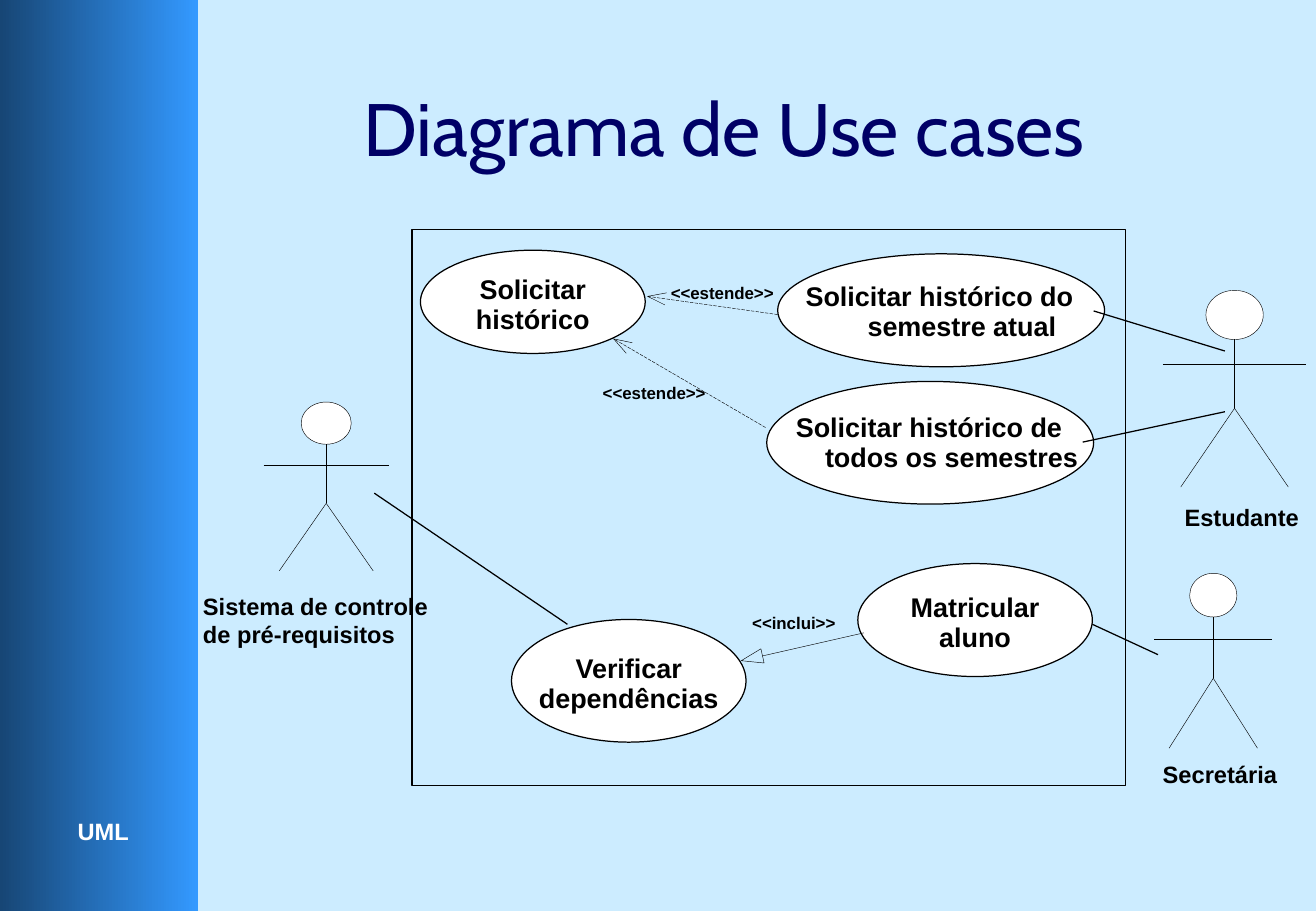
"""Build the slide with the UML use case diagram of an enrolment system."""
from math import hypot

from lxml.etree import SubElement
from pptx import Presentation
from pptx.dml.color import RGBColor
from pptx.enum.dml import MSO_LINE
from pptx.enum.shapes import MSO_CONNECTOR, MSO_SHAPE
from pptx.enum.text import MSO_ANCHOR, PP_ALIGN
from pptx.oxml.ns import qn
from pptx.util import Emu, Pt

PX = 9144
SLIDE = (1083, 750)
COLORS = {"background": "CCECFF", "bar_dark": "174675", "bar_light": "3399FF",
          "title": "000066", "ink": "000000", "paper": "FFFFFF"}
THIN, NORMAL = 0.25, 0.75
USE_CASE_FONT = {"size": 16, "spacing": 17.8}

SIDEBAR = (0, 0, 163, 750)
COURSE = ("UML", (54, 667, 62, 34))
TITLE = ("Diagrama de Use cases", (190, 42, 812, 125))
SYSTEM = (339, 189, 587, 458)

ACTORS = [
    ("Estudante", (957, 239, 118, 162), (967, 414, 110, 23), PP_ALIGN.CENTER),
    ("Secretária", (950, 472, 97, 144), (949, 626, 110, 23), PP_ALIGN.CENTER),
    ("Sistema de controle\nde pré-requisitos", (217, 331, 103, 139),
     (167, 487, 208, 47), PP_ALIGN.LEFT),
]
USE_CASES = [
    ("Solicitar\nhistórico", (346, 206, 185, 85)),
    ("Verificar\ndependências", (421, 510, 193, 101)),
    ("Matricular\naluno", (706, 464, 193, 93)),
]
STAGGERED_USE_CASES = [
    ("Solicitar histórico do\nsemestre atual",
     (640, 209, 269, 93), (663, 232, 250, 52), 51),
    ("Solicitar histórico de\ntodos os semestres",
     (631, 314, 269, 101), (655, 340, 250, 52), 24),
]
EXTENSIONS = [
    ("<<estende>>", (640, 259), (533, 244), (552, 233, 85, 17)),
    ("<<estende>>", (630, 352), (505, 279), (496, 315, 85, 17)),
]
INCLUSION = ("<<inclui>>", (711, 521), (610, 544), (619, 504, 69, 17))
ASSOCIATIONS = [
    ((467, 514), (308, 406)),
    ((1008, 289), (900, 256)),
    ((899, 514), (953, 539)),
    ((1008, 339), (891, 364)),
]


def color(name):
    return RGBColor.from_string(COLORS[name])


def emu(*lengths):
    return [Emu(round(length * PX)) for length in lengths]


def outline(item, width):
    item.line.color.rgb = color("ink")
    item.line.width = Pt(width)


def draw_shape(kind, box, fill=None, width=NORMAL):
    shape = shapes.add_shape(kind, *emu(*box))
    shape.shadow.inherit = False
    if fill:
        shape.fill.solid()
        shape.fill.fore_color.rgb = color(fill)
    else:
        shape.fill.background()
    outline(shape, width)
    return shape


def draw_line(start, end, width=THIN, dash=None):
    line = shapes.add_connector(MSO_CONNECTOR.STRAIGHT, *emu(*start, *end))
    SubElement(line._element.spPr, qn("a:effectLst"))
    outline(line, width)
    if dash:
        line.line.dash_style = dash


def draw_outline(points, close=False):
    first, *rest = [emu(*point) for point in points]
    builder = shapes.build_freeform(*first)
    builder.add_line_segments(rest, close=close)
    shape = builder.convert_to_shape()
    shape.shadow.inherit = False
    shape.fill.background()
    outline(shape, THIN)


def write(text, box=None, shape=None, size=14, font="Arial", ink="ink", bold=True,
          align=PP_ALIGN.LEFT, anchor=MSO_ANCHOR.TOP, wrap=False, indent=0, drop=0,
          spacing=None):
    """Put text in a shape or a new box, indenting the lines after the first."""
    frame = (shape or shapes.add_textbox(*emu(*box))).text_frame
    frame.margin_left = frame.margin_right = frame.margin_bottom = 0
    frame.margin_top = emu(drop)[0]
    frame.word_wrap = wrap
    frame.vertical_anchor = anchor
    frame.text = text
    for number, line in enumerate(frame.paragraphs):
        line.alignment = align
        line.font.size = Pt(size)
        line.font.name = font
        line.font.bold = bold
        line.font.color.rgb = color(ink)
        if spacing:
            line.line_spacing = Pt(spacing)
        if number and indent:
            line._p.get_or_add_pPr().set("marL", str(emu(indent)[0]))


def draw_actor(name, figure, name_box, align):
    left, top, width, height = figure
    center = left + width / 2
    neck, arms, hip, feet = [top + height * part for part in (0.25, 0.375, 0.6, 1)]
    stride = width * 0.375
    draw_shape(MSO_SHAPE.OVAL, (left + width * 0.3, top, width * 0.4, neck - top),
               fill="paper", width=THIN)
    draw_line((left, arms), (left + width, arms))
    draw_outline([(center - stride, feet), (center, hip), (center + stride, feet)])
    draw_line((center, neck), (center, hip))
    write(name, name_box, align=align, wrap=True)


def draw_dependency(label, start, tip, label_box, length=15, half=5, closed=False):
    span = hypot(start[0] - tip[0], start[1] - tip[1])
    ux, uy = (start[0] - tip[0]) / span, (start[1] - tip[1]) / span
    base = (tip[0] + ux * length, tip[1] + uy * length)
    barbs = [(base[0] + side * uy * half, base[1] - side * ux * half) for side in (1, -1)]
    draw_line(start, base if closed else tip, dash=None if closed else MSO_LINE.LONG_DASH)
    draw_outline([barbs[0], tip, barbs[1]], close=closed)
    write(label, label_box, size=10)


deck = Presentation()
deck.slide_width, deck.slide_height = emu(*SLIDE)
slide = deck.slides.add_slide(deck.slide_layouts[6])
shapes = slide.shapes
slide.background.fill.solid()
slide.background.fill.fore_color.rgb = color("background")

sidebar = draw_shape(MSO_SHAPE.RECTANGLE, SIDEBAR)
sidebar.line.fill.background()
sidebar.fill.gradient()
sidebar.fill.gradient_angle = 0
for stop, shade in zip(sidebar.fill.gradient_stops, ("bar_dark", "bar_light")):
    stop.color.rgb = color(shade)

write(*COURSE, ink="paper", align=PP_ALIGN.CENTER, anchor=MSO_ANCHOR.MIDDLE)
draw_shape(MSO_SHAPE.RECTANGLE, SYSTEM)
write(*TITLE, size=44, font="Cabin", ink="title", bold=False, wrap=True,
      align=PP_ALIGN.CENTER, anchor=MSO_ANCHOR.MIDDLE)

for actor in ACTORS:
    draw_actor(*actor)
for label, box in USE_CASES:
    write(label, shape=draw_shape(MSO_SHAPE.OVAL, box, fill="paper"),
          align=PP_ALIGN.CENTER, anchor=MSO_ANCHOR.MIDDLE, drop=5, **USE_CASE_FONT)
for label, box, label_box, indent in STAGGERED_USE_CASES:
    draw_shape(MSO_SHAPE.OVAL, box, fill="paper")
    write(label, label_box, wrap=True, indent=indent, **USE_CASE_FONT)
for extension in EXTENSIONS:
    draw_dependency(*extension)
draw_dependency(*INCLUSION, length=18, half=6, closed=True)
for start, end in ASSOCIATIONS:
    draw_line(start, end, width=NORMAL)

deck.save("out.pptx")
